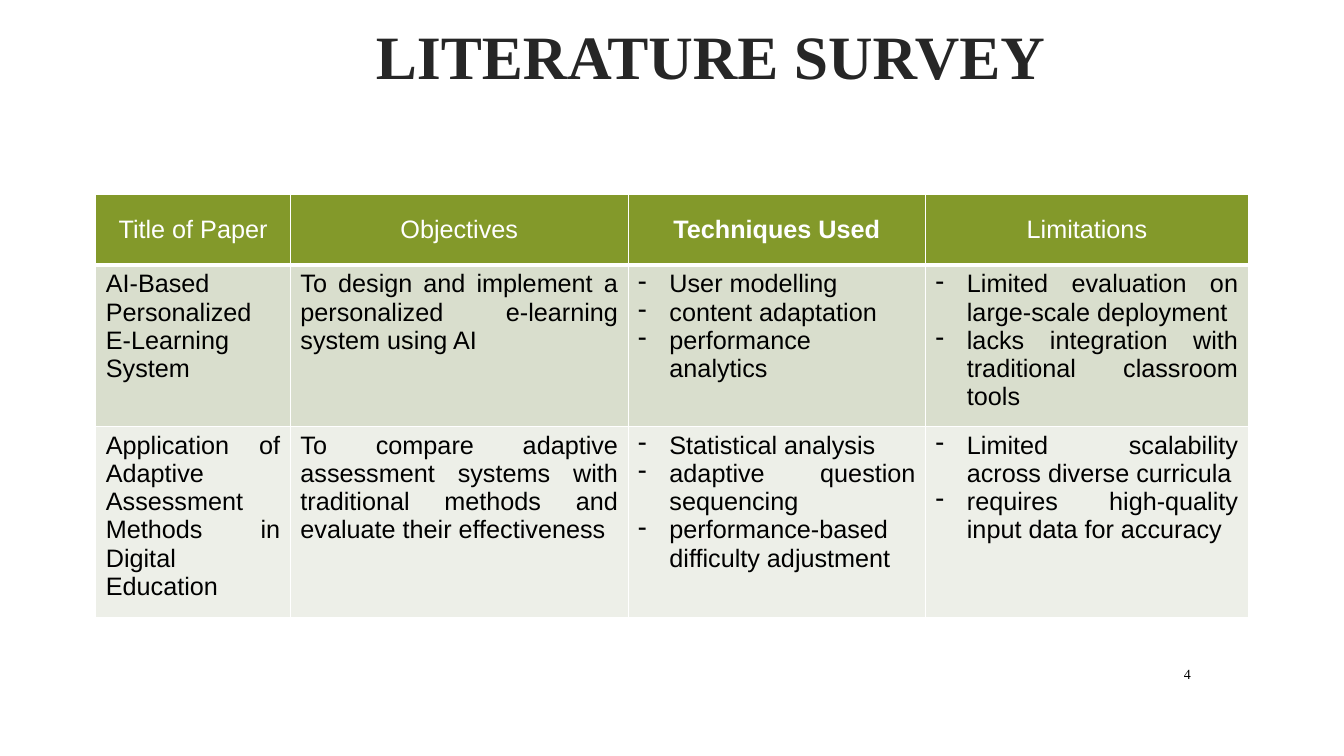
from pptx import Presentation
from pptx.dml.color import RGBColor as RGB
from pptx.enum.text import MSO_ANCHOR as Anchor, PP_ALIGN as Align
from pptx.oxml.ns import qn
from pptx.util import Inches, Pt
from lxml.etree import SubElement as Sub

HUES = {"title": "262626", "text": "000000", "white": "FFFFFF",
        "head": "83992A", "odd": "D9DECD", "even": "EDEFE8"}
SERIF, SANS = "Times New Roman", "Arial"


def write(para, text, size, font, hue, align, bold=False):
    para.alignment = align
    run = para.add_run()
    run.text = text
    run.font.size = Pt(size)
    run.font.name = font
    run.font.bold = bold
    run.font.color.rgb = RGB.from_string(HUES[hue])


def edge(cell, side, width):
    line = Sub(cell._tc.get_or_add_tcPr(), qn("a:" + side), w=str(Pt(width)))
    Sub(Sub(line, qn("a:solidFill")), qn("a:srgbClr"), val=HUES["white"])


prs = Presentation()
prs.slide_width, prs.slide_height = Inches(13.33), Inches(7.5)
slide = prs.slides.add_slide(prs.slide_layouts[6])

# Title and page number; the title's left inset moves it off centre
labels = [
    ("LITERATURE SURVEY", (1.42, 0, 10.5, 1.09), 0.86, 44, "title", Align.CENTER, True),
    ("4", (11.32, 6.53, 0.59, 0.31), 0.1, 10, "text", Align.RIGHT, False),
]
for text, place, inset, size, hue, align, bold in labels:
    frame = slide.shapes.add_textbox(*map(Inches, place)).text_frame
    frame.word_wrap = True
    frame.vertical_anchor = Anchor.MIDDLE
    frame.margin_left = Inches(inset)
    write(frame.paragraphs[0], text, size, SERIF, hue, align, bold)

# Survey table: a list in a cell becomes dashed points
rows = [
    ["Title of Paper", "Objectives", "Techniques Used", "Limitations"],
    ["AI-Based Personalized E-Learning System",
     "To design and implement a personalized e-learning system using AI",
     ["User modelling", "content adaptation", "performance analytics"],
     ["Limited evaluation on large-scale deployment",
      "lacks integration with traditional classroom tools"]],
    ["Application of Adaptive Assessment Methods in Digital Education",
     "To compare adaptive assessment systems with traditional methods "
     "and evaluate their effectiveness",
     ["Statistical analysis", "adaptive question sequencing",
      "performance-based difficulty adjustment"],
     ["Limited scalability across diverse curricula",
      "requires high-quality input data for accuracy"]],
]
widths = [1.93, 3.35, 2.95, 3.2]
heights = [0.7, 1.5, 1.78]
fills = ["head", "odd", "even"]

table = slide.shapes.add_table(
    len(rows), len(widths), Inches(0.95), Inches(1.93),
    Inches(sum(widths)), Inches(sum(heights))).table
table.horz_banding = False
for col, width in zip(table.columns, widths):
    col.width = Inches(width)

for r, row in enumerate(rows):
    table.rows[r].height = Inches(heights[r])
    head = r == 0
    for c, item in enumerate(row):
        cell = table.cell(r, c)
        for side in ("lnL", "lnR", "lnT", "lnB"):
            thick = (head and side == "lnB") or (r == 1 and side == "lnT")
            edge(cell, side, 3 if thick else 1)
        cell.fill.solid()
        cell.fill.fore_color.rgb = RGB.from_string(HUES[fills[r]])
        cell.vertical_anchor = Anchor.MIDDLE if head else Anchor.TOP

        frame = cell.text_frame
        points = isinstance(item, list)
        for i, text in enumerate(item if points else [item]):
            para = frame.add_paragraph() if i else frame.paragraphs[0]
            if points:
                props = para._p.get_or_add_pPr()
                props.set("marL", str(Inches(0.31)))
                props.set("indent", str(-Inches(0.31)))
                Sub(props, qn("a:buChar"), char="-")
            write(para, text, 18, SANS, "white" if head else "text",
                  Align.CENTER if head else Align.JUSTIFY,
                  text == "Techniques Used")

prs.save("out.pptx")
